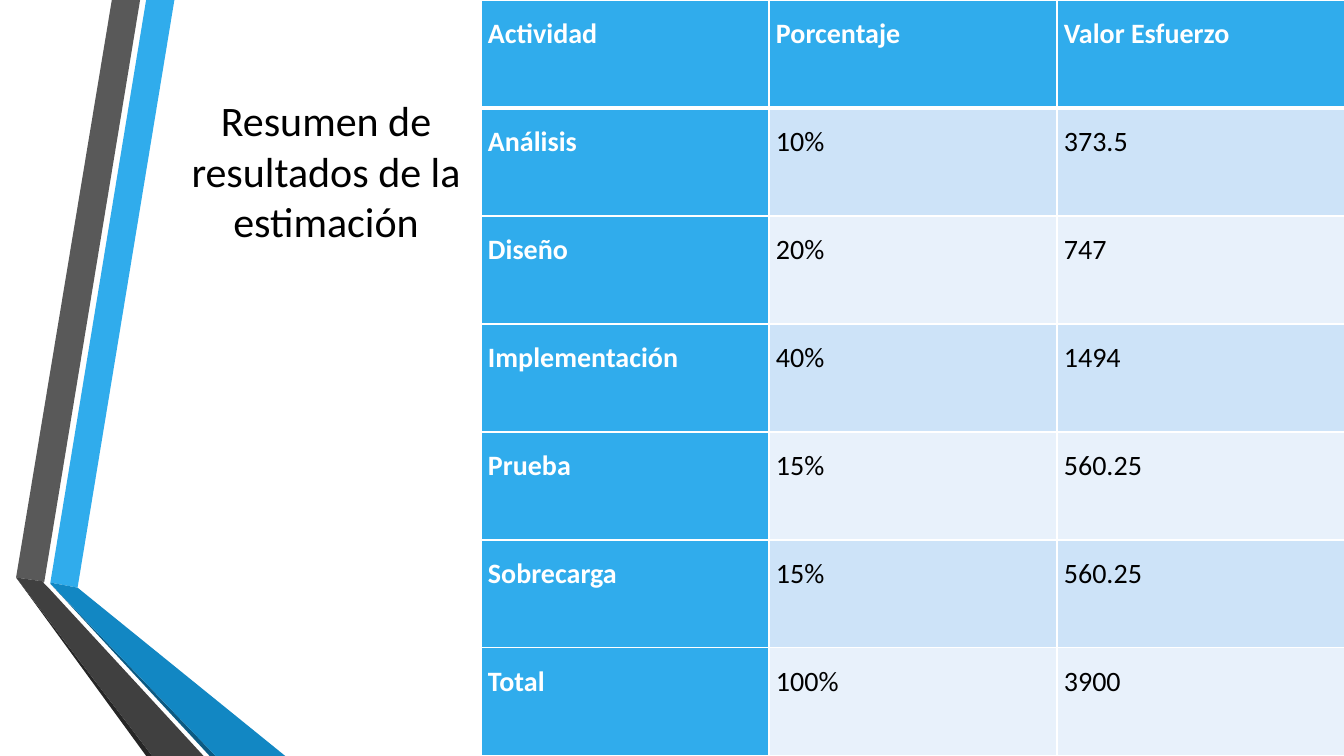
from lxml.etree import SubElement
from pptx import Presentation
from pptx.dml.color import RGBColor
from pptx.enum.text import MSO_ANCHOR, MSO_AUTO_SIZE, PP_ALIGN
from pptx.oxml.ns import qn
from pptx.util import Inches, Pt

COLORS = {
    "white": "FFFFFF", "black": "000000", "blue": "30ACEC",
    "band_dark": "CDE3F8", "band_light": "E8F1FB",
    "gray": "595959", "gray_fold": "404040", "gray_edge": "262626",
    "blue_fold": "1287C3", "blue_edge": "0C5A82",
}
FONT = "Calibri"

# Points in inches from the top left corner of the ribbon area
RIBBONS = [
    ("blue", [(0.5, 5.78), (0.77, 5.83), (1.73, 0), (1.45, 0)]),
    ("gray", [(1.39, 0), (1.11, 0), (0.16, 5.73), (0.44, 5.77)]),
    ("gray_edge", [(0.16, 5.73), (1.45, 7.5), (1.51, 7.5)]),
    ("blue_edge", [(0.5, 5.79), (2.08, 7.5), (2.14, 7.5)]),
    ("blue_fold", [(0.5, 5.78), (0.5, 5.79), (2.14, 7.5), (2.83, 7.5), (0.77, 5.83)]),
    ("gray_fold", [(2.02, 7.5), (0.48, 5.83), (0.43, 5.78), (0.44, 5.77),
                   (0.16, 5.73), (1.51, 7.5)]),
]

ROWS = [
    ("Actividad", "Porcentaje", "Valor Esfuerzo"),
    ("Análisis", "10%", "373.5"),
    ("Diseño", "20%", "747"),
    ("Implementación", "40%", "1494"),
    ("Prueba", "15%", "560.25"),
    ("Sobrecarga", "15%", "560.25"),
    ("Total", "100%", "3900"),
]


def rgb(name):
    return RGBColor.from_string(COLORS[name])


def add_span(para, text, size, color, bold=False):
    span = para.add_run()
    span.text = text
    span.font.name = FONT
    span.font.size = Pt(size)
    span.font.bold = bold
    span.font.color.rgb = rgb(color)


def add_ribbons(page, left, top):
    for color, points in RIBBONS:
        corners = [(left + Inches(x), top + Inches(y)) for x, y in points]
        builder = page.shapes.build_freeform(*corners[0])
        builder.add_line_segments(corners[1:], close=True)
        ribbon = builder.convert_to_shape()
        ribbon.shadow.inherit = False
        ribbon.fill.solid()
        ribbon.fill.fore_color.rgb = rgb(color)
        ribbon.line.fill.background()


def place_title(page, left, top, width, height):
    title = page.shapes.title
    title.left, title.top, title.width, title.height = left, top, width, height
    frame = title.text_frame
    frame.word_wrap = True
    frame.auto_size = MSO_AUTO_SIZE.NONE
    frame.vertical_anchor = MSO_ANCHOR.MIDDLE
    para = frame.paragraphs[0]
    para.alignment = PP_ALIGN.CENTER
    add_span(para, "Resumen de resultados de la estimación", 30, "black")


def set_borders(cell, widths):
    """Draw white borders; widths maps each side (L, R, T, B) to points."""
    properties = cell._tc.get_or_add_tcPr()
    for side, width in widths.items():
        line = SubElement(properties, qn(f"a:ln{side}"), w=str(Pt(width)))
        fill = SubElement(line, qn("a:solidFill"))
        SubElement(fill, qn("a:srgbClr"), val=COLORS["white"])


def fill_cell(cell, text, row, column):
    heading = row == 0 or column == 0
    band = "band_dark" if row % 2 else "band_light"
    set_borders(cell, {"L": 1, "R": 1, "T": 3 if row == 1 else 1,
                       "B": 3 if row == 0 else 1})
    cell.fill.solid()
    cell.fill.fore_color.rgb = rgb("blue" if heading else band)
    cell.margin_left = cell.margin_right = Inches(0.07)
    cell.margin_top = cell.margin_bottom = 0
    cell.vertical_anchor = MSO_ANCHOR.TOP
    para = cell.text_frame.paragraphs[0]
    para.alignment = PP_ALIGN.JUSTIFY
    para.line_spacing = 1.5
    add_span(para, text, 20, "white" if heading else "black", heading)


def add_effort_table(page, left, top, width, height):
    table = page.shapes.add_table(
        len(ROWS), len(ROWS[0]), left, top, width, height).table
    for row, texts in enumerate(ROWS):
        for column, text in enumerate(texts):
            fill_cell(table.cell(row, column), text, row, column)


def main():
    deck = Presentation()
    deck.slide_width, deck.slide_height = Inches(13.33), Inches(7.5)
    page = deck.slides.add_slide(deck.slide_layouts[5])
    page.background.fill.solid()
    page.background.fill.fore_color.rgb = rgb("white")
    add_ribbons(page, 0, 0)
    place_title(page, Inches(1.58), Inches(0.73), Inches(3.31), Inches(1.92))
    add_effort_table(page, Inches(4.77), 0, Inches(8.57), deck.slide_height)
    deck.save("out.pptx")


if __name__ == "__main__":
    main()
